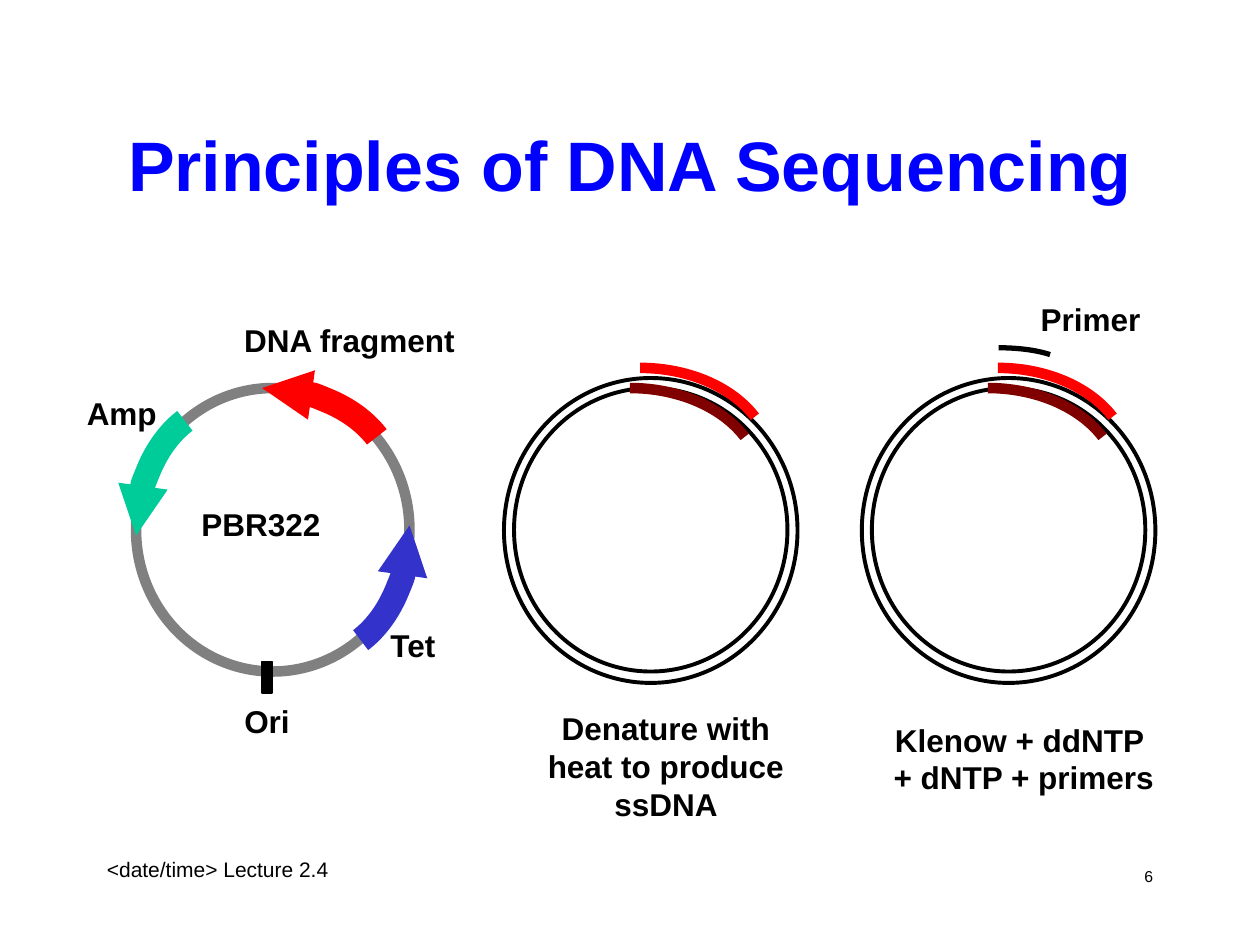
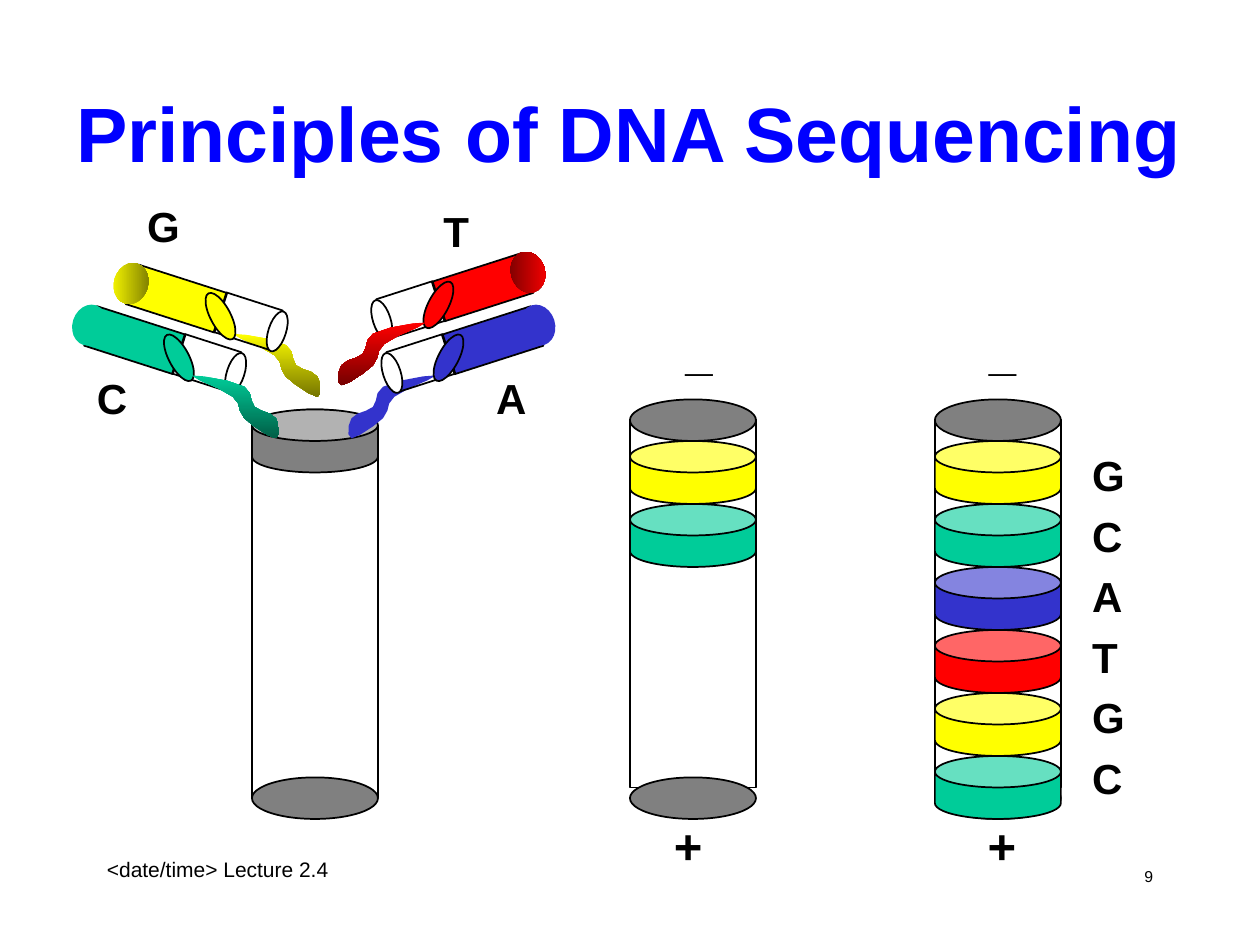
from lxml import etree
from pptx import Presentation
from pptx import util as u
from pptx.dml import color
from pptx.enum import shapes, text
from pptx.oxml import ns

COLORS = {
    "black": "000000", "white": "FFFFFF", "title": "0000FF", "gray": "808080",
    "red": "FF0000", "dark red": "750000", "maroon": "800000",
    "green": "00CC99", "dark green": "005E46", "blue": "3333CC",
    "yellow": "FFFF00", "dark yellow": "757500",
}
FONT = "Arial"
BASE_COLORS = {"G": "yellow", "C": "green", "A": "blue", "T": "red"}
KIND = shapes.MSO_SHAPE
ALIGN = text.PP_ALIGN

# Bezier pieces of a poured stream, measured from its thin end:
# two control points and an end point each.
STREAM = [
    [(-0.01, 0.02), (0.27, 0.11), (0.33, 0.17)],
    [(0.40, 0.22), (0.36, 0.28), (0.42, 0.34)],
    [(0.47, 0.39), (0.63, 0.50), (0.67, 0.50)],
    [(0.71, 0.50), (0.70, 0.38), (0.67, 0.34)],
    [(0.64, 0.29), (0.54, 0.29), (0.50, 0.25)],
    [(0.46, 0.21), (0.49, 0.13), (0.42, 0.09)],
    [(0.35, 0.04), (0.02, -0.01), (0, 0)],
]
STREAM_STEPS = 3


def rgb(name):
    return color.RGBColor.from_string(COLORS[name])


def paint(shape, fill=None, line=None, width=1, angle=0):
    """Fill with a colour name or a pair of names for a gradient."""
    shape.shadow.inherit = False
    if fill is None:
        shape.fill.background()
    elif isinstance(fill, tuple):
        shape.fill.gradient()
        shape.fill.gradient_angle = angle
        for stop, name in zip(shape.fill.gradient_stops, fill):
            stop.color.rgb = rgb(name)
    else:
        shape.fill.solid()
        shape.fill.fore_color.rgb = rgb(fill)
    if line is None:
        shape.line.fill.background()
    else:
        shape.line.color.rgb = rgb(line)
        shape.line.width = u.Pt(width)


def add_preset(page, kind, left, top, width, height, fill=None, line="black", weight=1):
    shape = page.shapes.add_shape(kind, *map(u.Inches, (left, top, width, height)))
    paint(shape, fill, line, weight)
    return shape


def add_text(page, lines, left, top, width, height, size=18, bold=True,
             align=ALIGN.LEFT, ink="black", wrap=False, spacing=None):
    box = page.shapes.add_textbox(*map(u.Inches, (left, top, width, height)))
    frame = box.text_frame
    frame.word_wrap = wrap
    if not wrap:
        frame.auto_size = text.MSO_AUTO_SIZE.SHAPE_TO_FIT_TEXT
    for index, line in enumerate(lines):
        para = frame.add_paragraph() if index else frame.paragraphs[0]
        para.alignment = align
        if spacing:
            para.line_spacing = spacing
        span = para.add_run()
        span.text = line
        span.font.name = FONT
        span.font.size = u.Pt(size)
        span.font.bold = bold
        span.font.color.rgb = rgb(ink)
    return box


def add_page(deck, number):
    page = deck.slides.add_slide(deck.slide_layouts[6])
    add_text(page, ["<date/time> Lecture 2.4"], 0.75, 6.75, 2.08, 0.5,
             size=12, bold=False, wrap=True)
    add_text(page, [number], 7.17, 6.83, 2.08, 0.5,
             size=9, bold=False, align=ALIGN.RIGHT, wrap=True)
    return page


def add_title(page, left, top, width, size):
    box = add_text(page, ["Principles of DNA Sequencing"], left, top, width, 1.25,
                   size=size, align=ALIGN.CENTER, ink="title", wrap=True)
    box.text_frame.vertical_anchor = text.MSO_ANCHOR.MIDDLE


def add_arc(page, left, top, ink, weight, turn=0, size=(2.08, 1.5), end=338.3, arrow=False):
    """Draw from the top of an ellipse clockwise to the end angle, then turn it."""
    arc = add_preset(page, KIND.ARC, left, top, *size, line=ink, weight=weight)
    # Adjustments count in 100000ths, angles in 60000ths of a degree.
    arc.adjustments[0] = 270 * 0.6
    arc.adjustments[1] = end * 0.6
    arc.rotation = turn
    if arrow:
        outline = arc.element.spPr.find(ns.qn("a:ln"))
        etree.SubElement(outline, ns.qn("a:headEnd"), type="triangle", w="sm", len="sm")


def add_double_circle(page, left):
    add_preset(page, KIND.OVAL, left, 3.08, 2.17, 2.25, weight=2.25)
    add_preset(page, KIND.OVAL, left - 0.08, 3, 2.33, 2.42, weight=2.25)
    add_arc(page, left - 0.04, 2.92, "red", 6)
    add_arc(page, left - 0.12, 3.08, "maroon", 6)


def add_tube(page, base, x, y, side, cap=None):
    """Draw a tilted test tube whose filled part is centred on (x, y).

    side is 1 when the mouth points right and -1 when it points left.
    """
    ink = BASE_COLORS[base]
    parts = [
        (KIND.RECTANGLE, 0, 0, 0.33, 0.74, 107.8, ink, "black"),
        (KIND.OVAL, -0.36, -0.12, 0.33, 0.27, 107.8, cap or ink, None),
        (KIND.RECTANGLE, 0.57, 0.18, 0.33, 0.47, 107.8, None, "black"),
        (KIND.OVAL, 0.8, 0.26, 0.33, 0.14, 107.8, "white", "black"),
        (KIND.OVAL, 0.35, 0.14, 0.41, 0.16, 62.2, ink, "black"),
    ]
    for kind, dx, dy, width, height, tilt, fill, line in parts:
        part = add_preset(page, kind, x + side * dx - width / 2, y + dy - height / 2,
                          width, height, line=line)
        part.rotation = side * tilt % 360
        # An angle equal to the rotation keeps the shading horizontal.
        paint(part, fill, line, angle=part.rotation)


def add_stream(page, fill, x, y, side):
    """Draw the liquid poured from the tube centred on (x, y)."""
    points = [(0, 0)]
    for b, c, d in STREAM:
        a = points[-1]
        for step in range(1, STREAM_STEPS + 1):
            t = step / STREAM_STEPS
            weights = ((1 - t) ** 3, 3 * t * (1 - t) ** 2, 3 * t * t * (1 - t), t ** 3)
            points.append(tuple(sum(w * p[axis] for w, p in zip(weights, (a, b, c, d)))
                                for axis in (0, 1)))
    placed = [(u.Inches(x + side * (0.45 + dx)), u.Inches(y + 0.28 + dy))
              for dx, dy in points]
    builder = page.shapes.build_freeform(*placed[0])
    builder.add_line_segments(placed[1:-1], close=True)
    paint(builder.convert_to_shape(), fill, angle=270)


def add_can(page, left, top, fill):
    can = add_preset(page, KIND.CAN, left, top, 1, 0.5, fill)
    can.adjustments[0] = 0.5


def add_column(page, left, top):
    add_preset(page, KIND.RECTANGLE, left, top + 0.16, 1, 2.92, "white")
    for end in (top, 6.17):
        add_preset(page, KIND.OVAL, left, end, 1, 0.33, "gray")


def add_gel(page, left, bases, minus_left, plus_left):
    add_column(page, left, 3.17)
    for index, base in enumerate(bases):
        add_can(page, left, 3.5 + 0.5 * index, BASE_COLORS[base])
    add_text(page, ["+"], plus_left, 6.42, 0.42, 0.57, size=28)
    add_text(page, ["_"], minus_left, 2.5, 0.41, 0.57, size=28)


def build_plasmid_page(deck):
    page = add_page(deck, "6")
    add_title(page, 0.75, 0.67, 8.5, 40)

    add_preset(page, KIND.OVAL, 1.08, 3.08, 2.17, 2.25, line="gray", weight=6)
    for left, top, ink, turn in [(1.04, 3.08, "red", 0), (0.79, 3.5, "green", 270),
                                 (1.46, 3.42, "blue", 90)]:
        add_arc(page, left, top, ink, 14.25, turn, arrow=True)
    add_preset(page, KIND.RECTANGLE, 2.08, 5.25, 0.08, 0.25, "black", weight=0.75)

    for left in (4.08, 6.92):
        add_double_circle(page, left)
    add_arc(page, 7.38, 2.76, "black", 3, size=(1.09, 0.32), end=345.5)

    for label, left, top, width in [
        ("PBR322", 1.5, 3.96, 1.18), ("Amp", 0.59, 3.08, 0.79), ("Tet", 3, 4.92, 0.59),
        ("Ori", 1.84, 5.52, 0.58), ("DNA fragment", 1.84, 2.5, 1.9),
        ("Primer", 8.16, 2.33, 1.01),
    ]:
        add_text(page, [label], left, top, width, 0.4)
    add_text(page, ["Denature with", "heat to produce", "ssDNA"],
             4.23, 5.58, 2.11, 1, align=ALIGN.CENTER)
    add_text(page, ["Klenow + ddNTP ", "+ dNTP + primers"],
             6.98, 5.67, 2.29, 0.7, align=ALIGN.CENTER)


def build_gel_page(deck):
    page = add_page(deck, "9")
    add_column(page, 2, 3.25)
    add_can(page, 2, 3.25, "gray")
    add_title(page, 0.33, 0.42, 9.33, 44)

    c_place, g_place = (1.07, 2.7, 1), (1.4, 2.37, 1)
    t_place, a_place = (3.83, 2.28, -1), (3.91, 2.7, -1)
    add_tube(page, "C", *c_place)
    add_stream(page, ("yellow", "dark yellow"), *g_place)
    add_tube(page, "G", *g_place, cap=("yellow", "dark yellow"))
    add_tube(page, "T", *t_place, cap=("dark red", "red"))
    add_stream(page, "blue", *a_place)
    add_tube(page, "A", *a_place)
    add_stream(page, ("red", "dark red"), *t_place)
    add_stream(page, ("green", "dark green"), *c_place)
    for base, left, top in [("G", 1.07, 1.54), ("C", 0.67, 2.91),
                            ("T", 3.42, 1.58), ("A", 3.84, 2.91)]:
        add_text(page, [base], left, top, 0.46, 0.5, size=24)

    add_gel(page, 5, "GC", minus_left=5.34, plus_left=5.25)
    add_gel(page, 7.42, "GCATGC", minus_left=7.75, plus_left=7.74)
    add_text(page, "GCATGC", 8.57, 3.44, 0.46, 2.98, size=24, spacing=1.2)


def main():
    deck = Presentation()
    deck.slide_width, deck.slide_height = u.Inches(10), u.Inches(7.5)
    build_plasmid_page(deck)
    build_gel_page(deck)
    deck.save("out.pptx")


if __name__ == "__main__":
    main()
